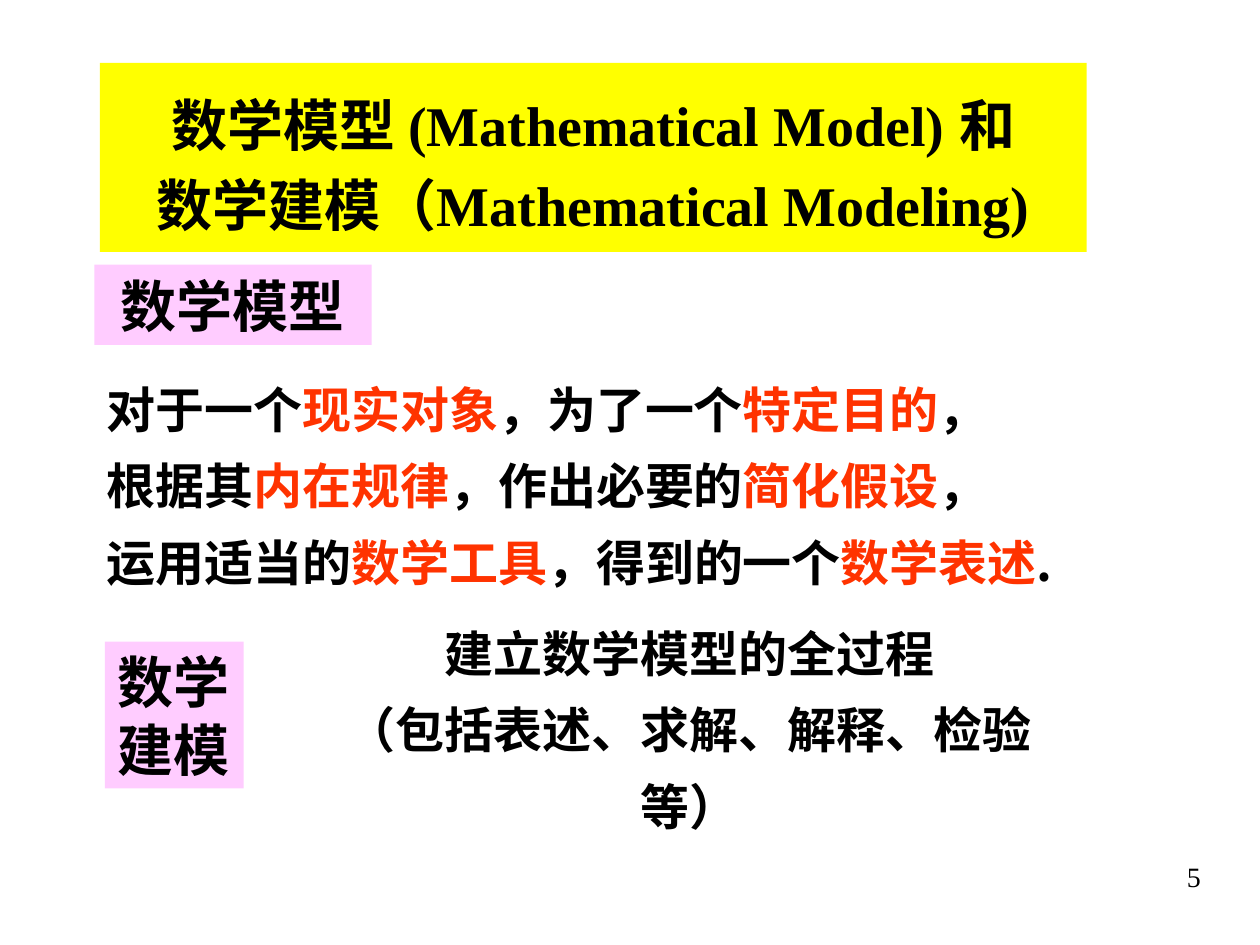
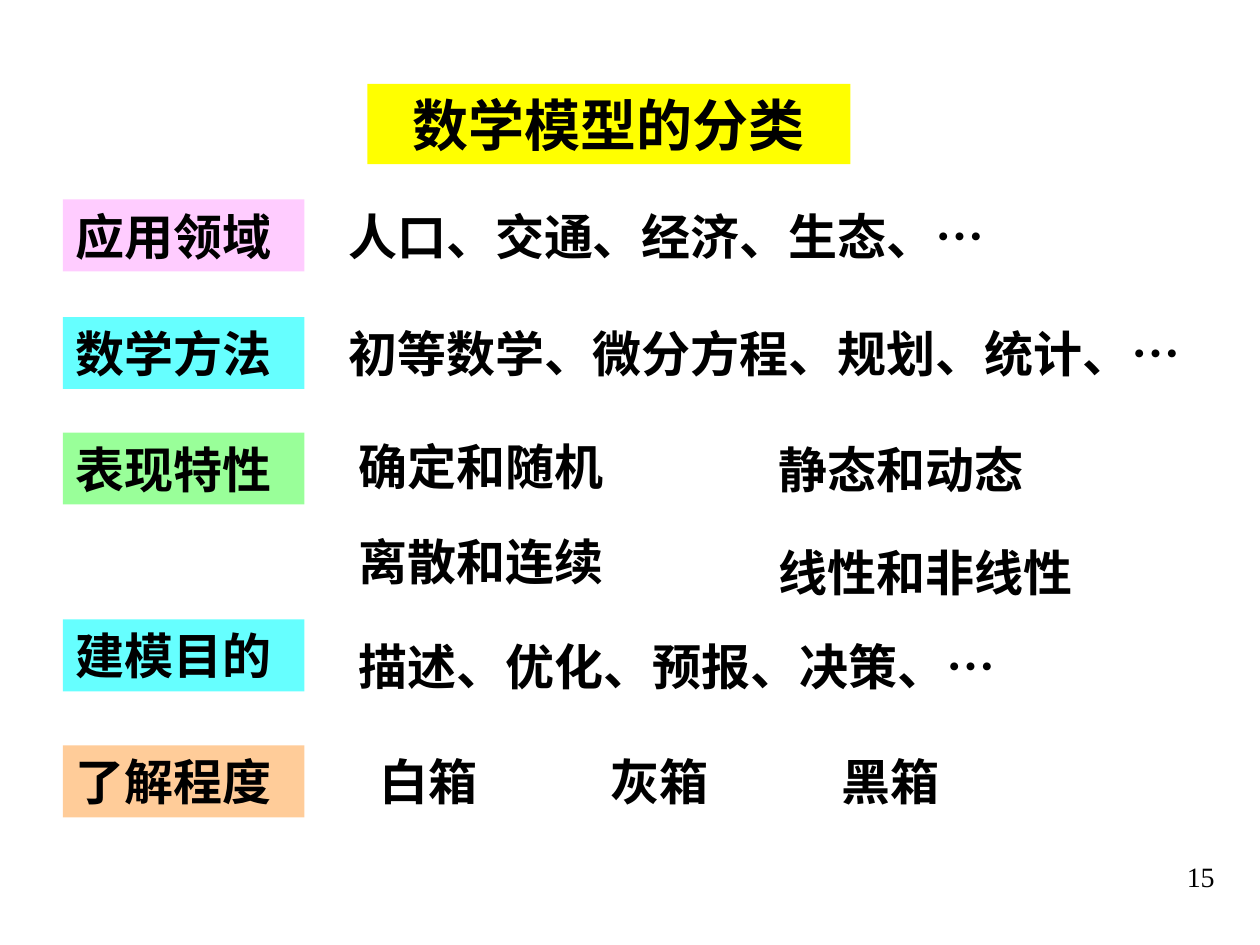
import pptx
import pptx.dml.color
import pptx.enum.shapes
import pptx.enum.text
import pptx.util

SLIDE_WIDTH = pptx.util.Inches(10)
SLIDE_HEIGHT = pptx.util.Inches(7.5)
COLUMNS = 120
ROWS = 90
CELL = SLIDE_WIDTH / COLUMNS
LATIN_FONT = "Times New Roman"
CJK_FONT = "Noto Sans CJK SC"
BLACK, RED, YELLOW = "000000", "FF3300", "FFFF00"
PINK, CYAN, GREEN, ORANGE = "FFCCFF", "66FFFF", "99FF99", "FFCC99"
HEADING_SIZE, BODY_SIZE, NUMBER_SIZE = 32, 28, 16
HEADING_ROWS, LINE_ROWS = 7.65, 6.85
CENTER = pptx.enum.text.PP_ALIGN.CENTER
LEFT = pptx.enum.text.PP_ALIGN.LEFT


def color(hex_value):
    """Turn a hex string into a colour."""
    return pptx.dml.color.RGBColor.from_string(hex_value)


def cells(count):
    """Turn a number of grid cells into a length."""
    return pptx.util.Emu(round(count * CELL))


def style_run(run, size, ink, bold, latin):
    """Give a run its fonts, size and colour."""
    run.font.name = latin
    run.font.size = pptx.util.Pt(size)
    run.font.bold = bold
    run.font.color.rgb = color(ink)
    east_asian = run.font._element.makeelement(pptx.oxml.ns.qn("a:ea"), {"typeface": CJK_FONT})
    run.font._element.find(pptx.oxml.ns.qn("a:latin")).addnext(east_asian)


def write(frame, lines, size, align=LEFT, spacing=None, bold=True, latin=LATIN_FONT):
    """Write lines, with every second part between bars in red."""
    frame.text = "\n".join(line.replace("|", "") for line in lines)
    for paragraph, line in zip(frame.paragraphs, lines):
        paragraph.alignment = align
        if spacing:
            paragraph.line_spacing = spacing
        parts = line.split("|")
        paragraph.text = parts[0]
        for part in parts[1:]:
            paragraph.add_run().text = part
        for index, run in enumerate(paragraph.runs):
            style_run(run, size, RED if index % 2 else BLACK, bold, latin)


def add_label(slide, column, row, width, height, lines, fill, size=HEADING_SIZE, wrap=True, **style):
    """Add a filled rectangle with text."""
    label = slide.shapes.add_shape(
        pptx.enum.shapes.MSO_SHAPE.RECTANGLE, *map(cells, (column, row, width, height)))
    label.shadow.inherit = False
    label.fill.solid()
    label.fill.fore_color.rgb = color(fill)
    label.line.fill.background()
    label.text_frame.word_wrap = wrap
    label.text_frame.vertical_anchor = pptx.enum.text.MSO_ANCHOR.MIDDLE
    write(label.text_frame, lines, size, **style)


def add_text(slide, column, row, width, height, lines, size=BODY_SIZE, wrap=True, **style):
    """Add a plain text box and return its frame."""
    frame = slide.shapes.add_textbox(*map(cells, (column, row, width, height))).text_frame
    frame.word_wrap = wrap
    frame.vertical_anchor = pptx.enum.text.MSO_ANCHOR.MIDDLE
    write(frame, lines, size, **style)
    return frame


def add_page(deck, number):
    """Add a blank slide with its page number."""
    slide = deck.slides.add_slide(deck.slide_layouts[6])
    frame = add_text(slide, 105.2, 81.2, 12.7, 4.45, [str(number)], NUMBER_SIZE, bold=False)
    frame.paragraphs[0]._p.get_or_add_pPr().set("marL", str(cells(6.65)))
    return slide


def build_definitions(deck):
    """Build the slide that defines model and modeling."""
    slide = add_page(deck, 5)
    add_label(slide, 9.5, 6, 94, 18,
              ["数学模型 (Mathematical Model) 和", "数学建模（Mathematical Modeling)"],
              YELLOW, wrap=False, align=CENTER, spacing=1.2)
    add_text(slide, 9, 34.5, 95.4, 21.7,
             ["对于一个|现实对象|，为了一个|特定目的|，",
              "根据其|内在规律|，作出必要的|简化假设|，",
              "运用适当的|数学工具|，得到的一个|数学表述|."],
             wrap=False, spacing=1.3, latin=CJK_FONT)
    add_text(slide, 27.8, 60.1, 75.7, 17,
             ["建立数学模型的全过程", "（包括表述、求解、解释、检验等）"],
             wrap=False, align=CENTER, spacing=1.3)
    add_label(slide, 9, 25.2, 26.4, HEADING_ROWS, ["数学模型"], PINK, align=CENTER)
    add_label(slide, 10, 61.1, 13.2, 14, ["数学建模"], PINK)


def build_classification(deck):
    """Build the slide that classifies models."""
    slide = add_page(deck, 15)
    add_label(slide, 35, 8, 46, HEADING_ROWS, ["数学模型的分类"], YELLOW, align=CENTER)
    criteria = [
        ("应用领域", PINK, 19, [(32, 0, 67, "人口、交通、经济、生态、…")]),
        ("数学方法", CYAN, 30.2, [(32, 0, 83, "初等数学、微分方程、规划、统计、…")]),
        ("表现特性", GREEN, 41.2, [(33, -0.2, 26, "确定和随机"), (73, 0, 26, "静态和动态"),
                               (33, 8.8, 26, "离散和连续"), (73, 9.8, 32, "线性和非线性")]),
        ("建模目的", CYAN, 59, [(33, 1, 81, "描述、优化、预报、决策、…")]),
        ("了解程度", ORANGE, 71, [(35 + 22 * step, 0, 13, box)
                              for step, box in enumerate(["白箱", "灰箱", "黑箱"])]),
    ]
    for criterion, fill, row, examples in criteria:
        add_label(slide, 6, row, 23, LINE_ROWS, [criterion], fill, BODY_SIZE)
        for column, drop, width, example in examples:
            add_text(slide, column, row + drop, width, LINE_ROWS, [example])


def main():
    """Build and save the deck."""
    deck = pptx.Presentation()
    deck.slide_width = SLIDE_WIDTH
    deck.slide_height = SLIDE_HEIGHT
    build_definitions(deck)
    build_classification(deck)
    deck.save("out.pptx")


if __name__ == "__main__":
    main()
